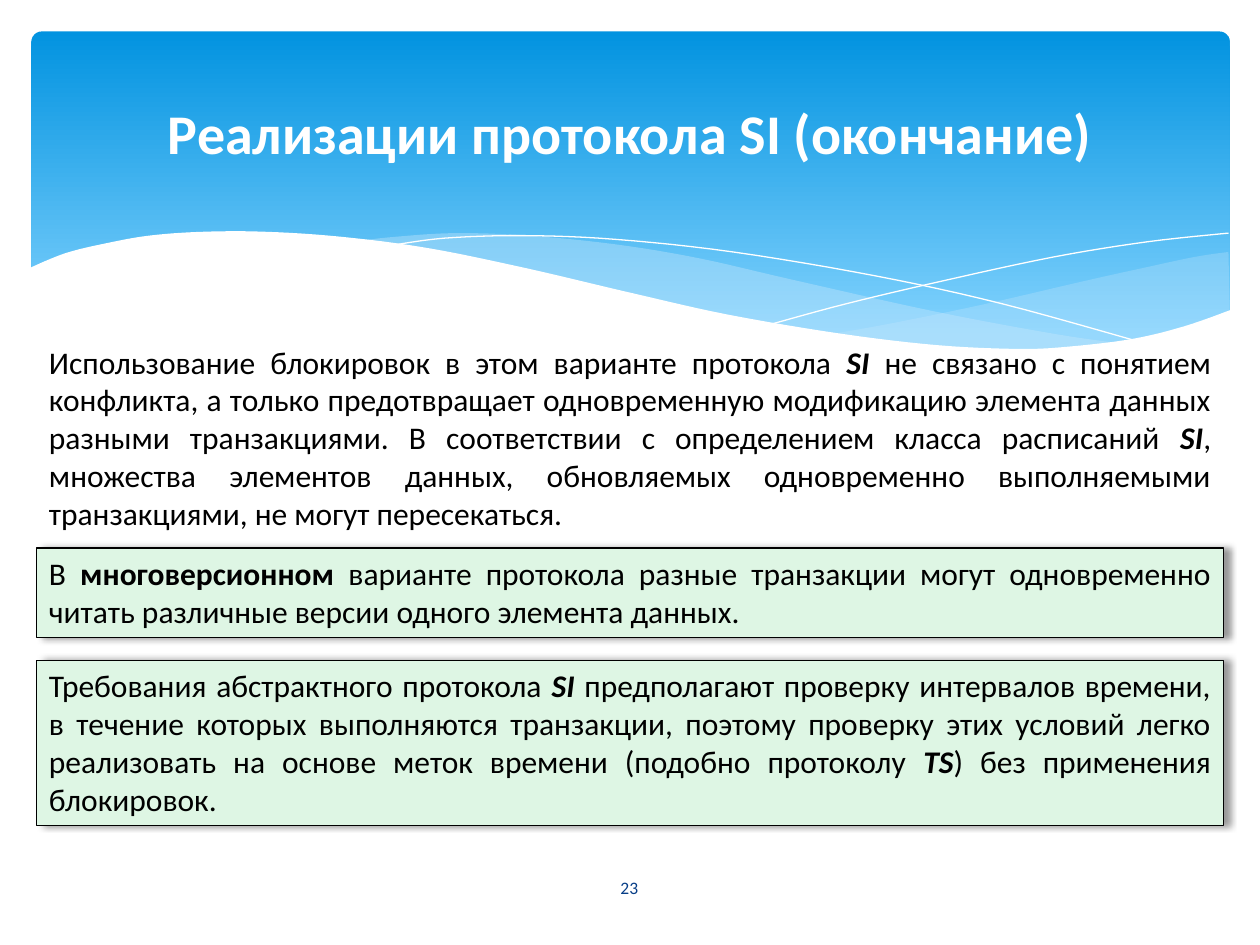
import pptx
import pptx.dml.color
import pptx.enum.dml
import pptx.enum.shapes
import pptx.enum.text
import pptx.oxml
import pptx.oxml.ns
import pptx.util
from lxml import etree

RGB = pptx.dml.color.RGBColor
SKY_TOP = RGB(0x02, 0x93, 0xE0)
SKY_BOTTOM = RGB(0x83, 0xD3, 0xFE)
HAZE = RGB(0xC6, 0xE7, 0xFC)
MINT = RGB(0xDE, 0xF6, 0xE4)
NAVY = RGB(0x07, 0x3E, 0x87)
WHITE = RGB(0xFF, 0xFF, 0xFF)
BLACK = RGB(0, 0, 0)

WIDTH, HEIGHT = pptx.util.Inches(10), pptx.util.Inches(7.5)
COLUMNS, ROWS = 100, 75
MARGIN = 2.9
CONTENT = COLUMNS - 2 * MARGIN

CENTER = pptx.enum.text.PP_ALIGN.CENTER
JUSTIFY = pptx.enum.text.PP_ALIGN.JUSTIFY
PLAIN, BOLD, TERM = (False, False), (True, False), (True, True)

RIGHT_SWELL = [
    [(97.5, 20), (94.8, 20.4), (90.6, 21.3), (86.1, 22.3), (77.9, 24.2), (70.6, 25.7), (66.1, 26.5)],
    [(66.1, 26.5), (70.5, 27.1), (75.7, 27.6), (81.4, 27.8), (87.2, 27.4), (92.1, 26.5), (97.6, 24.7)],
]
LONG_SWELL = [
    [(89.3, 27.3), (83.7, 26.5), (74.1, 24.7), (62.9, 22.2), (55.5, 20.5), (48.9, 19.4),
     (42, 18.7), (36.1, 18.5), (31.3, 18.8), (28.6, 19.1)],
    [(28.6, 19.1), (34.2, 19.9), (40.4, 21.1), (49.1, 23.2), (58.4, 25.2), (66.5, 26.6),
     (73.6, 27.5), (80.7, 27.8), (85.7, 27.7), (89.3, 27.3)],
]
FALLING_LINE = [[(30.9, 19.5), (35.3, 18.9), (41.6, 18.7), (48.9, 19), (58.2, 20),
                 (69.5, 21.9), (79.5, 24.1), (90.7, 27.2)]]
RISING_LINE = [[(61.3, 25.7), (67.2, 24.1), (74.8, 22.3), (83.6, 20.4), (91, 19.2), (97.5, 18.5)]]
WHITE_WAVE = [
    [(97.7, 24.6), (94, 25.9), (89.9, 26.9), (85, 27.5), (80.9, 27.7), (74.4, 27.4), (66.8, 26.5),
     (57.9, 25), (50.3, 23.3), (41.8, 21.3), (34, 19.7), (27.1, 18.8), (21.1, 18.4), (16.1, 18.4),
     (11.9, 18.7), (8.5, 19.3), (5.2, 20.1), (2.3, 21.3)],
    [(2.3, 32.9), (97.7, 32.9)],
]


def across(columns):
    return round(WIDTH * columns / COLUMNS)


def down(rows):
    return round(HEIGHT * rows / ROWS)


def place(left, top, width, height):
    return across(left), down(top), across(width), down(height)


def smooth(knots, steps=6):
    padded = [knots[0], *knots, knots[-1]]
    points = [knots[0]]
    for before, start, end, after in zip(padded, padded[1:], padded[2:], padded[3:]):
        for step in range(1, steps + 1):
            t = step / steps
            points.append(tuple(
                (2 * b + (c - a) * t + (2 * a - 5 * b + 4 * c - d) * t ** 2
                 + (3 * b - a - 3 * c + d) * t ** 3) / 2
                for a, b, c, d in zip(before, start, end, after)))
    return points


def add_curve(slide, curves, closed):
    outline = [(across(x), down(y)) for knots in curves for x, y in smooth(knots)]
    builder = slide.shapes.build_freeform(*outline[0])
    builder.add_line_segments(outline[1:], close=closed)
    curve = builder.convert_to_shape()
    curve.shadow.inherit = False
    return curve


def add_wave(slide, curves, color, opacity=100):
    wave = add_curve(slide, curves, True)
    wave.line.fill.background()
    wave.fill.solid()
    wave.fill.fore_color.rgb = color
    if opacity < 100:
        tint = wave.fill._xPr.find(".//" + pptx.oxml.ns.qn("a:srgbClr"))
        etree.SubElement(tint, pptx.oxml.ns.qn("a:alpha"), val=str(opacity * 1000))


def add_hairline(slide, curves):
    hairline = add_curve(slide, curves, False)
    hairline.fill.background()
    hairline.line.color.rgb = WHITE
    hairline.line.width = pptx.util.Pt(0)


def add_sky(slide):
    sky = slide.shapes.add_shape(pptx.enum.shapes.MSO_SHAPE.ROUNDED_RECTANGLE,
                                 *place(2.5, 2.5, 95.1, 27))
    sky.adjustments[0] = 0.03
    sky.shadow.inherit = False
    sky.line.fill.background()
    sky.fill.gradient()
    sky.fill.gradient_angle = 270
    for stop, position, color in zip(sky.fill.gradient_stops, (0, 0.9), (SKY_TOP, SKY_BOTTOM)):
        stop.position = position
        stop.color.rgb = color


def write(frame, pieces, size, color, alignment):
    frame.word_wrap = True
    paragraph = frame.paragraphs[0]
    paragraph.alignment = alignment
    paragraph.font.size = pptx.util.Pt(size)
    paragraph.font.name = "Calibri"
    paragraph.font.color.rgb = color
    for text, (bold, italic) in pieces:
        run = paragraph.add_run()
        run.text = text
        run.font.bold = bold
        run.font.italic = italic
    return paragraph


def add_label(slide, box, text, style, size, color):
    frame = slide.shapes.add_textbox(*place(*box)).text_frame
    frame.margin_left = frame.margin_right = frame.margin_top = frame.margin_bottom = 0
    frame.vertical_anchor = pptx.enum.text.MSO_ANCHOR.MIDDLE
    return write(frame, [(text, style)], size, color, CENTER)


def add_body(slide, top, height, pieces):
    body = slide.shapes.add_textbox(*place(MARGIN, top, CONTENT, height))
    write(body.text_frame, pieces, 18, BLACK, JUSTIFY)


def add_callout(slide, top, height, pieces):
    callout = slide.shapes.add_shape(pptx.enum.shapes.MSO_SHAPE.RECTANGLE,
                                     *place(MARGIN, top, CONTENT, height))
    callout.fill.solid()
    callout.fill.fore_color.rgb = MINT
    callout.line.color.rgb = BLACK
    callout.line.width = pptx.util.Pt(0.75)
    callout.shadow.inherit = False
    effects = callout._element.spPr.find(pptx.oxml.ns.qn("a:effectLst"))
    effects.append(pptx.oxml.parse_xml(
        f'<a:outerShdw {pptx.oxml.ns.nsdecls("a")} blurRad="{pptx.util.Pt(4)}" '
        f'dist="{pptx.util.Pt(3)}" dir="0" algn="l" rotWithShape="0">'
        f'<a:srgbClr val="{BLACK}"><a:alpha val="40000"/></a:srgbClr></a:outerShdw>'))
    callout.text_frame.vertical_anchor = pptx.enum.text.MSO_ANCHOR.TOP
    write(callout.text_frame, pieces, 18, BLACK, JUSTIFY)


def main():
    deck = pptx.Presentation()
    deck.slide_width, deck.slide_height = WIDTH, HEIGHT
    slide = deck.slides.add_slide(deck.slide_layouts[6])

    add_sky(slide)
    add_wave(slide, RIGHT_SWELL, HAZE, 29)
    add_wave(slide, LONG_SWELL, HAZE, 40)
    add_hairline(slide, FALLING_LINE)
    add_hairline(slide, RISING_LINE)
    add_wave(slide, WHITE_WAVE, WHITE)

    page_number = add_label(slide, (43.6, 68.4, 12.7, 4), "23", PLAIN, 10, NAVY)
    page_number.line_spacing = pptx.util.Pt(12.4)
    add_label(slide, (6.7, 7.7, 86.6, 5.5), "Реализации протокола SI (окончание)", BOLD, 32, WHITE)

    add_body(slide, 26.7, 16.2, [
        ("Использование блокировок в этом варианте протокола ", PLAIN),
        ("SI ", TERM),
        ("не связано с понятием конфликта, а только предотвращает одновременную модификацию "
         "элемента данных разными транзакциями. В соответствии с определением класса расписаний ", PLAIN),
        ("SI", TERM),
        (", множества элементов данных, обновляемых одновременно выполняемыми транзакциями, "
         "не могут пересекаться.", PLAIN),
    ])
    add_callout(slide, 43.5, 7.1, [
        ("В ", PLAIN),
        ("многоверсионном ", BOLD),
        ("варианте протокола разные транзакции могут одновременно читать различные версии "
         "одного элемента данных.", PLAIN),
    ])
    add_callout(slide, 52.4, 13.1, [
        ("Требования абстрактного протокола ", PLAIN),
        ("SI", TERM),
        (" предполагают проверку интервалов времени, в течение которых выполняются транзакции, "
         "поэтому проверку этих условий легко реализовать на основе меток времени (подобно протоколу ", PLAIN),
        ("TS", TERM),
        (") без применения блокировок.", PLAIN),
    ])
    deck.save("out.pptx")


if __name__ == "__main__":
    main()
